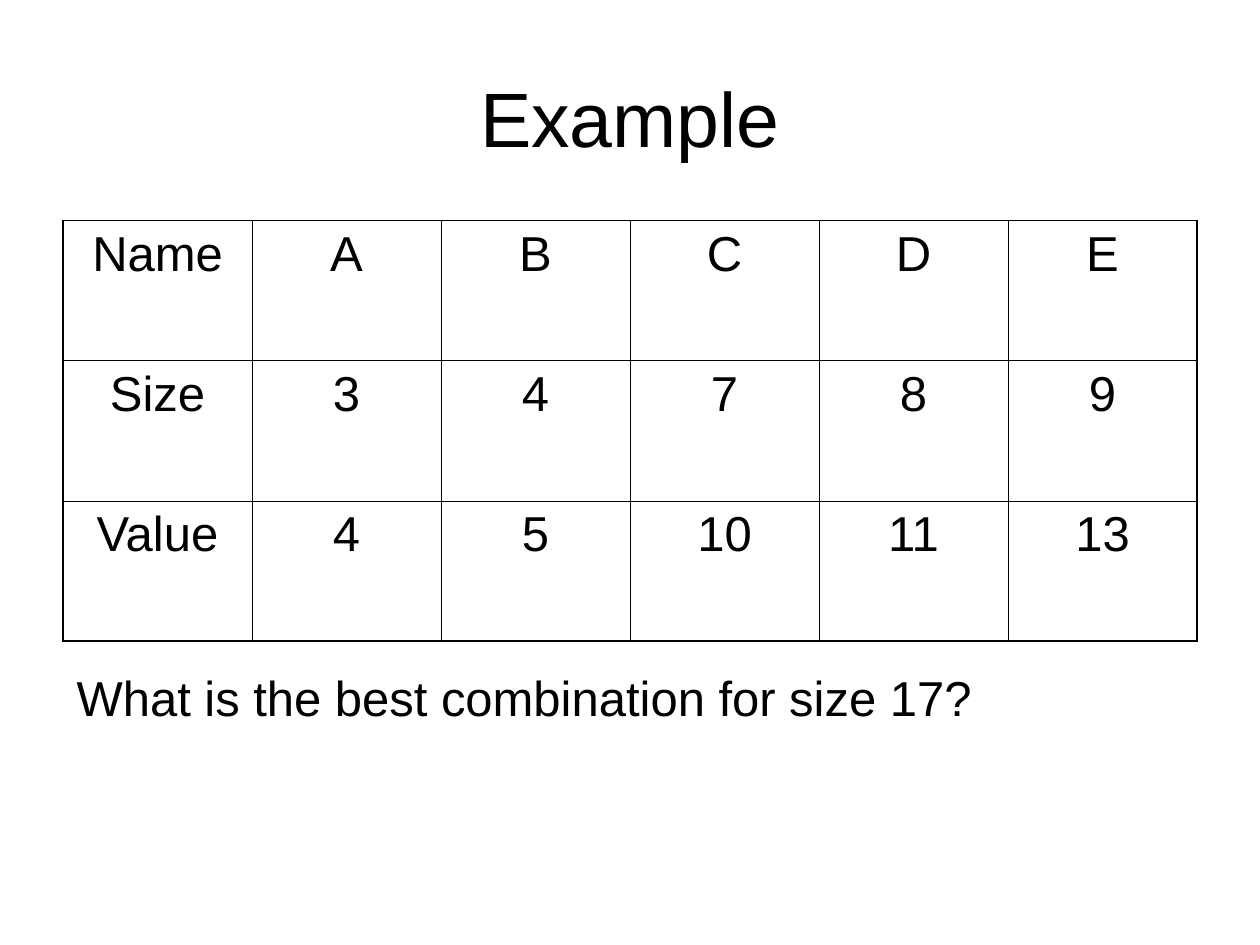
"""Build the slide with the item size and value table."""
from pptx import Presentation
from pptx.dml.color import RGBColor
from pptx.enum.text import MSO_ANCHOR, MSO_AUTO_SIZE, PP_ALIGN
from pptx.oxml.ns import qn
from pptx.util import Pt
from lxml.etree import SubElement

BLACK = RGBColor(0x00, 0x00, 0x00)
FONT = "Arial"
BODY_SIZE = 28
THIN, THICK = 0.45, 1.08
COLUMN_WIDTH, ROW_HEIGHT = 108, 80.16
ITEMS = [
    ["Name", "A", "B", "C", "D", "E"],
    ["Size", "3", "4", "7", "8", "9"],
    ["Value", "4", "5", "10", "11", "13"],
]


def write_text(frame, text, size, align):
    """Write one line of text into a text frame."""
    paragraph = frame.paragraphs[0]
    paragraph.alignment = align
    span = paragraph.add_run()
    span.text = text
    span.font.name = FONT
    span.font.size = Pt(size)
    span.font.color.rgb = BLACK


def add_text(page, bounds, text, size, align, anchor):
    """Add a wrapped text box and return its frame."""
    box = page.shapes.add_textbox(*map(Pt, bounds))
    frame = box.text_frame
    frame.word_wrap = True
    frame.vertical_anchor = anchor
    write_text(frame, text, size, align)
    return frame


def set_borders(cell, widths):
    """Draw the left, right, top and bottom borders of a cell."""
    properties = cell._tc.get_or_add_tcPr()
    for position, (side, width) in enumerate(widths.items()):
        line = SubElement(properties, qn(f"a:{side}"), w=str(Pt(width)))
        fill = SubElement(line, qn("a:solidFill"))
        SubElement(fill, qn("a:srgbClr"), val=str(BLACK))
        properties.insert(position, line)


def add_item_table(page, left, top, rows):
    """Add the table with thin inner lines and a thicker outline."""
    last_row, last_column = len(rows) - 1, len(rows[0]) - 1
    table = page.shapes.add_table(
        len(rows), len(rows[0]), Pt(left), Pt(top),
        Pt(COLUMN_WIDTH * len(rows[0])), Pt(ROW_HEIGHT * len(rows)),
    ).table
    table.first_row = table.horz_banding = False
    for row, texts in enumerate(rows):
        for column, text in enumerate(texts):
            cell = table.cell(row, column)
            cell.fill.background()
            write_text(cell.text_frame, text, BODY_SIZE, PP_ALIGN.CENTER)
            set_borders(cell, {
                "lnL": THICK if column == 0 else THIN,
                "lnR": THICK if column == last_column else THIN,
                "lnT": THICK if row == 0 else THIN,
                "lnB": THICK if row == last_row else THIN,
            })


def main():
    """Build and save the deck."""
    deck = Presentation()
    deck.slide_width, deck.slide_height = Pt(720), Pt(540)
    page = deck.slides.add_slide(deck.slide_layouts[6])
    add_text(page, (36, 21.6, 648, 90), "Example", 44,
             PP_ALIGN.CENTER, MSO_ANCHOR.MIDDLE)
    add_item_table(page, 36, 126, ITEMS)
    question = add_text(page, (36.72, 378, 595.44, 41.04),
                        "What is the best combination for size 17?", BODY_SIZE,
                        PP_ALIGN.LEFT, MSO_ANCHOR.TOP)
    question.auto_size = MSO_AUTO_SIZE.SHAPE_TO_FIT_TEXT
    deck.save("out.pptx")


if __name__ == "__main__":
    main()
